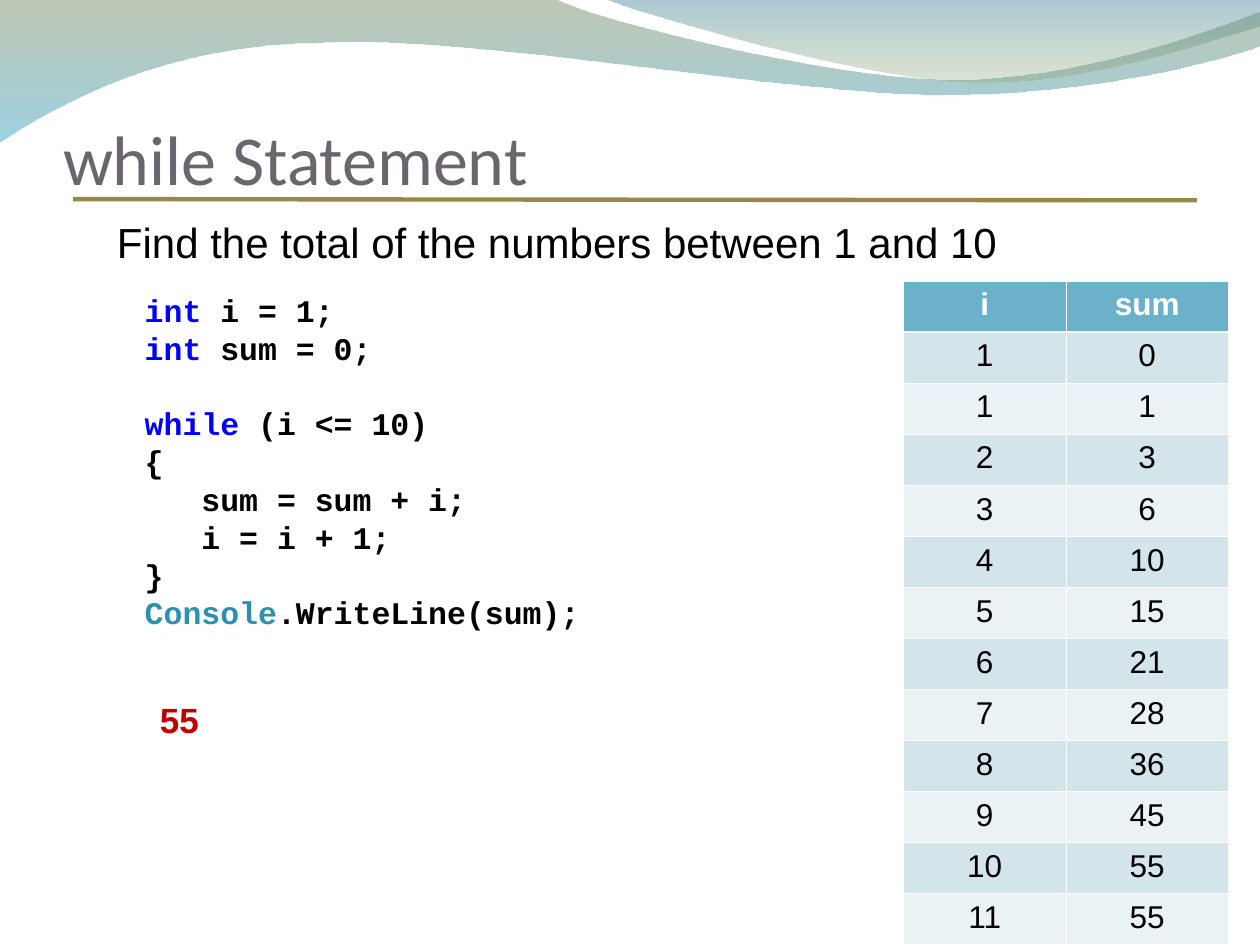
"""Builds the slide on the while statement, with its code and a trace table."""
from pptx import Presentation
from pptx.dml.color import RGBColor
from pptx.enum.shapes import MSO_CONNECTOR
from pptx.enum.text import MSO_ANCHOR as ANCHOR, MSO_AUTO_SIZE as AUTO, PP_ALIGN as ALIGN
from pptx.oxml.ns import qn
from pptx.util import Inches, Pt
from lxml.etree import SubElement

hexc = RGBColor.from_string
prs = Presentation()
prs.slide_width, prs.slide_height = Inches(10), Inches(7.5)
COL, ROW = prs.slide_width / 10, prs.slide_height / 7.5


def grid(*values):
    """Turn alternating columns and rows into lengths."""
    return [round(v * (ROW if i % 2 else COL)) for i, v in enumerate(values)]


def text(tf, *lines, size=18, font="Arial", color="000000", bold=False,
         align=ALIGN.LEFT, anchor=ANCHOR.TOP, spacing=None):
    """Write lines, each a string or a list of (text, colour) runs."""
    tf.word_wrap, tf.vertical_anchor = True, anchor
    for i, line in enumerate(lines):
        p = tf.add_paragraph() if i else tf.paragraphs[0]
        p.alignment, p.line_spacing = align, spacing
        for words, shade in [(line, color)] if isinstance(line, str) else line:
            r = p.add_run()
            r.text = words
            r.font.size, r.font.name, r.font.bold = Pt(size), font, bold
            r.font.color.rgb = hexc(shade)


s = prs.slides.add_slide(prs.slide_layouts[5])

WAVES = [
    ([(0, -0.01), (4.4, -0.01), (4.76, 0.17, 6.64, 0.63, 7.58, 0.63),
      (8.53, 0.63, 9.58, 0.26, 10, 0.09), (10.01, 0.36),
      (9.83, 0.44, 8.7, 0.76, 7.46, 0.75), (6.22, 0.75, 3.82, 0.28, 2.57, 0.34),
      (1.29, 0.35, 0.46, 0.83, -0.01, 1.13)],
     [("72845C", 45), ("49ACCD", 55)]),
    ([(4.79, -0.01), (5.09, 0.11, 6.82, 0.62, 7.69, 0.65),
      (8.56, 0.69, 9.61, 0.32, 10, 0.21), (10, 0)],
     [("42869E", 45), ("8AA26C", 30)]),
]
for steps, stops in WAVES:
    builder = s.shapes.build_freeform(*grid(*steps[0]))
    builder.add_line_segments([grid(*step[-2:]) for step in steps[1:]], close=True)
    sp = builder.convert_to_shape()
    for segment, step in zip(list(sp._element.iter(qn("a:lnTo"))), steps[1:]):
        if len(step) == 6:
            segment.tag = qn("a:cubicBezTo")
            x1, y1, x2, y2 = grid(*step[:4])
            for k, (x, y) in enumerate([(x1, y1), (x2, y2)]):
                pt = SubElement(segment, qn("a:pt"), x=str(x - sp.left), y=str(y - sp.top))
                segment.insert(k, pt)
    sp.shadow.inherit = False
    sp.line.fill.background()
    sp.fill.gradient()
    sp.fill.gradient_angle = 270
    for stop, place, (color, _) in zip(sp.fill.gradient_stops, (0, 1), stops):
        stop.position, stop.color.rgb = place, hexc(color)
    for clr, (_, opacity) in zip(sp._element.spPr.iter(qn("a:srgbClr")), stops):
        SubElement(clr, qn("a:alpha"), val=str(opacity * 1000))

rule = s.shapes.add_connector(MSO_CONNECTOR.STRAIGHT, *grid(0.58, 1.58, 9.5, 1.59))
rule.line.color.rgb, rule.line.width = hexc("988848"), Pt(2.5)
SubElement(rule._element.spPr, qn("a:effectLst"))

title = s.shapes.title
title.left, title.top, title.width, title.height = grid(0.5, 0.33, 9, 1.25)
tf = title.text_frame
tf.auto_size = AUTO.NONE
tf.margin_left = tf.margin_right = tf.margin_bottom = 0
text(tf, "while Statement", size=40, font="Calibri", color="69676D", anchor=ANCHOR.BOTTOM)

BLUE, TEAL, BLACK = "0000FF", "2B91AF", "000000"
CODE = [
    [("int", BLUE), (" i = 1;", BLACK)],
    [("int", BLUE), (" sum = 0;", BLACK)],
    [],
    [("while", BLUE), (" (i <= 10)", BLACK)],
    "{",
    "   sum = sum + i;",
    "   i = i + 1;",
    "}",
    [("Console", TEAL), (".WriteLine(sum);", BLACK)],
]
TRACE = [("i", "sum"), (1, 0), (1, 1), (2, 3), (3, 6), (4, 10), (5, 15), (6, 21),
         (7, 28), (8, 36), (9, 45), (10, 55), (11, 55)]
BOXES = [
    ((1.17, 5.49, 3.83, 0.44), ["55"],
     dict(size=20, color="C00000", bold=True, anchor=ANCHOR.MIDDLE)),
    ((1.05, 2.26, 3.95, 2.8), CODE,
     dict(font="Courier New", bold=True, anchor=ANCHOR.MIDDLE, spacing=Pt(21.6))),
    ((0.83, 1.67, 8.58, 0.5), ["Find the total of the numbers between 1 and 10"],
     dict(size=24)),
]
for place, lines, style in BOXES:
    text(s.shapes.add_textbox(*grid(*place)).text_frame, *lines, **style)

table = s.shapes.add_table(len(TRACE), 2, *grid(7.17, 2.23, 2.58, 5.27)).table
for i, values in enumerate(TRACE):
    for j, value in enumerate(values):
        cell = table.cell(i, j)
        text(cell.text_frame, str(value), align=ALIGN.CENTER, bold=i == 0,
             color="000000" if i else "FFFFFF")
        tcPr = cell._tc.get_or_add_tcPr()
        for side in ("L", "R", "T", "B"):
            thick = (i, side) in ((0, "B"), (1, "T"))
            ln = SubElement(tcPr, qn("a:ln" + side), w=str(Pt(1.47 if thick else 0.45)))
            SubElement(SubElement(ln, qn("a:solidFill")), qn("a:srgbClr"), val="FFFFFF")
        cell.fill.solid()
        cell.fill.fore_color.rgb = hexc(("EBF2F5", "D4E4EB")[i % 2] if i else "6BB1C9")

prs.save("out.pptx")
